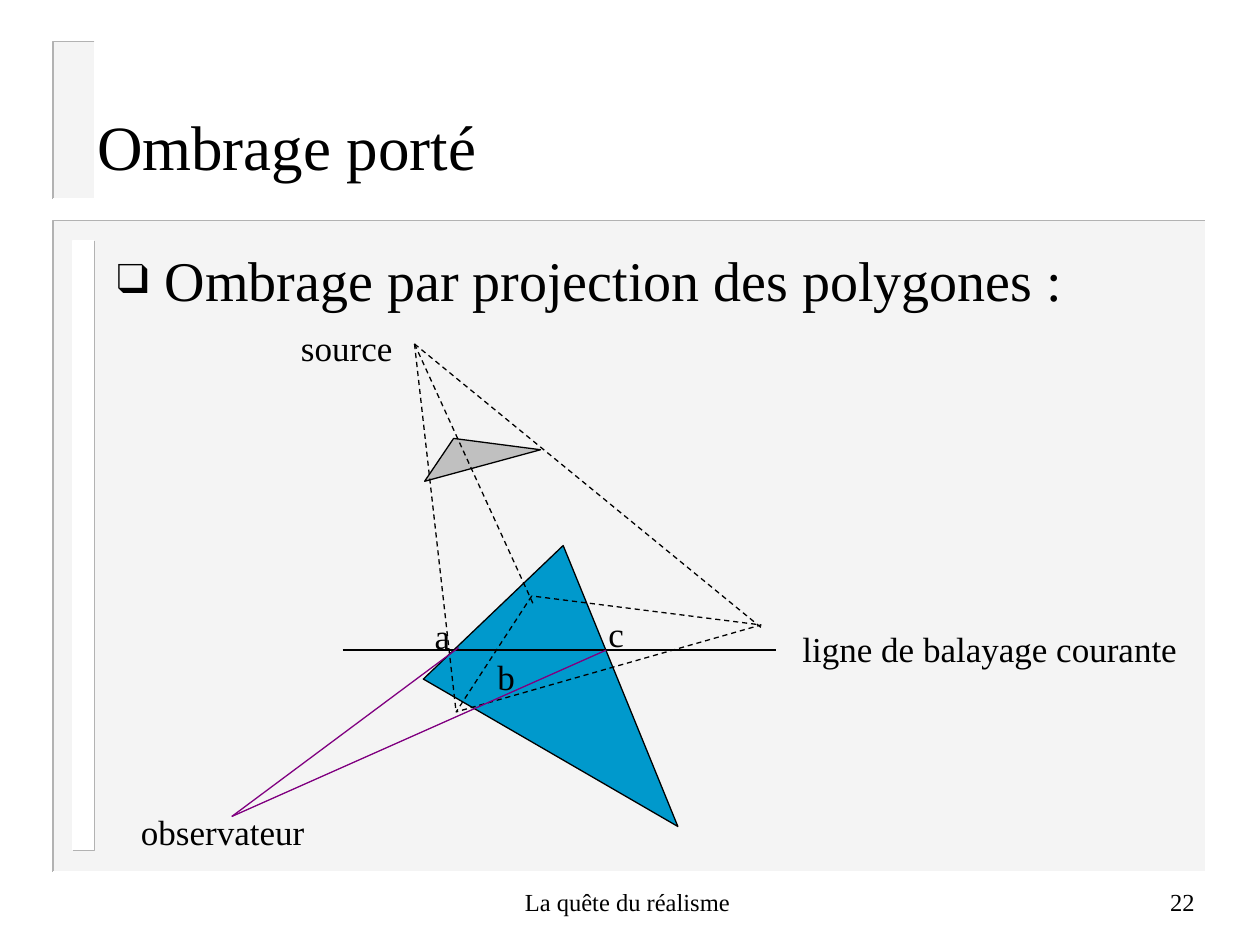
"""Build the slide on cast shadows by polygon projection."""
from lxml.etree import SubElement
from pptx import Presentation
from pptx.dml.color import RGBColor
from pptx.enum.dml import MSO_LINE
from pptx.enum.shapes import MSO_CONNECTOR, MSO_SHAPE
from pptx.enum.text import MSO_ANCHOR, MSO_AUTO_SIZE, PP_ALIGN
from pptx.oxml.ns import qn
from pptx.util import Inches, Pt

BLACK, WHITE, EDGE, PURPLE = "000000", "FFFFFF", "B2B2B2", "800080"
PANEL, BLUE, GREY = "EAEAEA", "0099CC", "C0C0C0"
FONT = "Times New Roman"


def paint(shape, fill=None, line=None, width=0.74, dashed=False):
    """Set fill and line from hex strings and drop the shadow."""
    if fill:
        shape.fill.solid()
        shape.fill.fore_color.rgb = RGBColor.from_string(fill)
    elif hasattr(shape, "fill"):
        shape.fill.background()
    if line:
        shape.line.color.rgb = RGBColor.from_string(line)
        shape.line.width = Pt(width)
        if dashed:
            shape.line.dash_style = MSO_LINE.DASH
    else:
        shape.line.fill.background()
    SubElement(shape._element.spPr, qn("a:effectLst"))


def write(shape, text, size, align=PP_ALIGN.LEFT, anchor=MSO_ANCHOR.TOP, wrap=True):
    """Put one formatted run into a shape and return its paragraph."""
    frame = shape.text_frame
    frame.word_wrap = wrap
    frame.auto_size = MSO_AUTO_SIZE.NONE if wrap else MSO_AUTO_SIZE.SHAPE_TO_FIT_TEXT
    frame.vertical_anchor = anchor
    paragraph = frame.paragraphs[0]
    paragraph.alignment = align
    run = paragraph.add_run()
    run.text = text
    run.font.size = Pt(size)
    run.font.name = FONT
    run.font.color.rgb = RGBColor.from_string(BLACK)
    return paragraph


presentation = Presentation()
presentation.slide_width, presentation.slide_height = Inches(10), Inches(7.5)
slide = presentation.slides.add_slide(presentation.slide_layouts[5])
shapes = slide.shapes

panels = [
    (0.42, 1.75, 9.57, 6.92, PANEL, EDGE, WHITE),
    (0.58, 1.91, 0.75, 6.75, WHITE, WHITE, EDGE),
    (0.42, 0.33, 0.75, 1.58, PANEL, EDGE, WHITE),
]
for *corners, fill, upper_edge, lower_edge in panels:
    left, top, right, bottom = map(Inches, corners)
    panel = shapes.add_shape(MSO_SHAPE.RECTANGLE, left, top, right - left, bottom - top)
    paint(panel, fill)
    if fill == PANEL:
        color = panel._element.spPr.find(qn("a:solidFill"))[0]
        SubElement(color, qn("a:alpha"), val="50000")
    for corner, edge in [((left, top), upper_edge), ((right, bottom), lower_edge)]:
        builder = shapes.build_freeform(right, top)
        builder.add_line_segments([corner, (left, bottom)], close=False)
        paint(builder.convert_to_shape(), None, edge, 0.99)

title = shapes.title
title.left, title.top, title.width, title.height = map(Inches, (0.67, 0.78, 8.5, 0.75))
write(title, "Ombrage porté", 36, anchor=MSO_ANCHOR.MIDDLE)

body = shapes.add_textbox(*map(Inches, (0.83, 1.9, 8.69, 5)))
bullet = write(body, "Ombrage par projection des polygones :", 32)
bullet.space_before = Pt(8)
properties = bullet._p.get_or_add_pPr()
properties.set("marL", str(Inches(0.38)))
properties.set("indent", str(-Inches(0.38)))
SubElement(SubElement(properties, qn("a:buClr")), qn("a:srgbClr"), val=BLACK)
SubElement(properties, qn("a:buSzPct"), val="75000")
SubElement(properties, qn("a:buFont"), typeface=FONT)
SubElement(properties, qn("a:buChar"), char="❑")

source, observer = (3.29, 2.73), (1.84, 6.48)
triangles = [
    ([(4.47, 4.33), (3.36, 5.39), (5.38, 6.56)], BLUE, False),
    ([(3.6, 3.48), (3.37, 3.82), (4.29, 3.57)], GREY, False),
    ([(4.22, 4.73), (3.62, 5.65), (6.04, 4.96)], None, True),
]
for points, fill, dashed in triangles:
    first, *others = [(Inches(x), Inches(y)) for x, y in points]
    builder = shapes.build_freeform(*first)
    builder.add_line_segments(others, close=True)
    paint(builder.convert_to_shape(), fill, BLACK, dashed=dashed)

rays = [
    (source, (4.23, 4.79), BLACK, True),
    (source, (3.62, 5.65), BLACK, True),
    (source, (6.04, 4.98), BLACK, True),
    ((2.72, 5.16), (6.16, 5.16), BLACK, False),
    (observer, (3.64, 5.14), PURPLE, False),
    (observer, (4.81, 5.16), PURPLE, False),
]
for start, end, color, dashed in rays:
    ray = shapes.add_connector(MSO_CONNECTOR.STRAIGHT, *map(Inches, start + end))
    paint(ray, line=color, dashed=dashed)

labels = [
    ("a", 3.35, 4.83, 0.32),
    ("c", 4.73, 4.81, 0.32),
    ("b", 3.85, 5.15, 0.34),
    ("source", 2.29, 2.54, 0.96),
    ("observateur", 1.02, 6.38, 1.52),
    ("ligne de balayage courante", 6.27, 4.93, 3.22),
]
for text, left, top, width in labels:
    label = shapes.add_textbox(*map(Inches, (left, top, width, 0.44)))
    write(label, text, 20, wrap=False)

footers = [
    ("La quête du réalisme ", 3.42, 3.17, PP_ALIGN.CENTER),
    ("22", 7.5, 2.08, PP_ALIGN.RIGHT),
]
for text, left, width, align in footers:
    footer = shapes.add_textbox(*map(Inches, (left, 6.91, width, 0.5)))
    write(footer, text, 14, align, MSO_ANCHOR.MIDDLE)

presentation.save("out.pptx")
